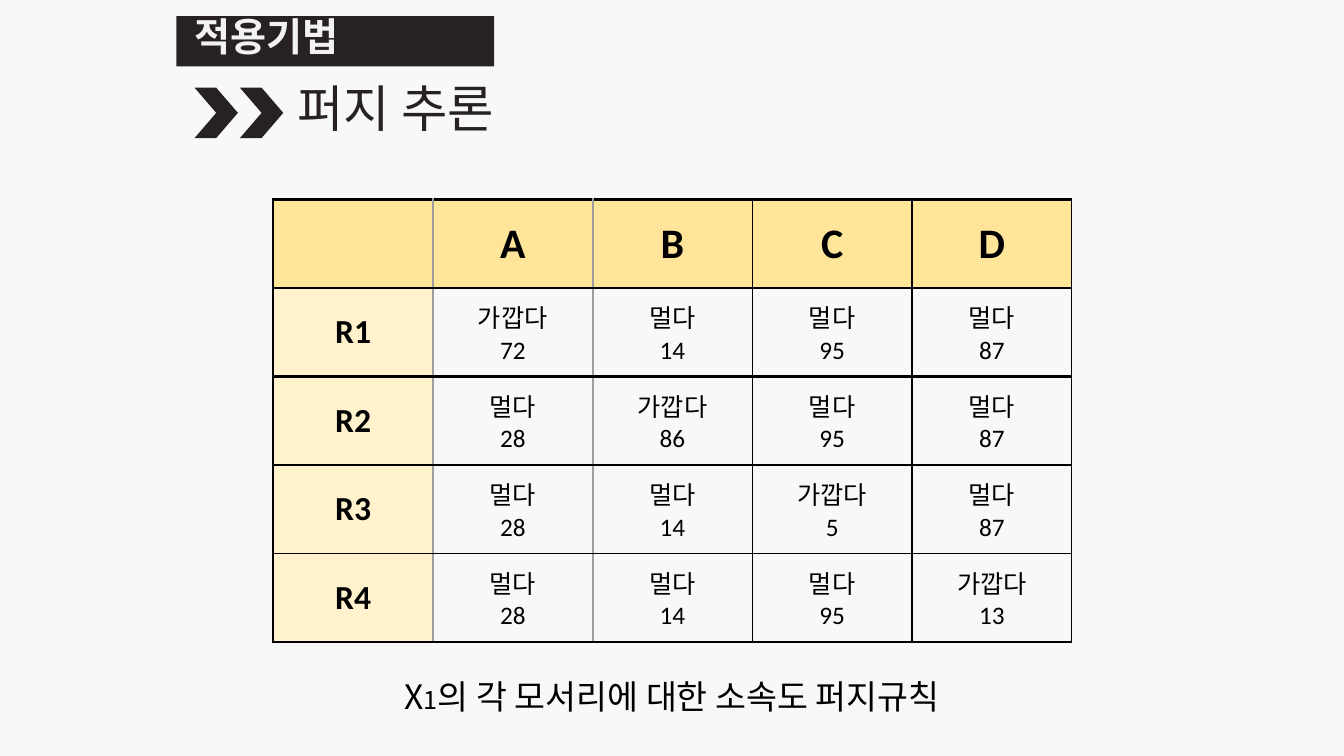
from lxml import etree
from pptx import Presentation
from pptx.dml.color import RGBColor
from pptx.enum import shapes, text
from pptx.oxml import ns
from pptx.util import Inches, Pt

INK = RGBColor(0x27, 0x21, 0x23)
PAPER = RGBColor(0xF8, 0xF8, 0xF8)
PALE = RGBColor(0xF2, 0xF2, 0xF2)
BLACK = RGBColor(0, 0, 0)
GRAY = RGBColor(0x9E, 0x9E, 0x9E)
HEADER_FILL = RGBColor(0xFF, 0xE5, 0x99)
RULE_FILL = RGBColor(0xFF, 0xF2, 0xCC)
LATIN = "Calibri"
KOREAN = "Noto Sans CJK KR"

CORNERS = ["A", "B", "C", "D"]
NEAR = [72, 86, 5, 13]
FAR = [28, 14, 95, 87]
ROW_LINES = [(BLACK, 2.25), (BLACK, 2.25), (BLACK, 2.25),
             (BLACK, 1.5), (BLACK, 1), (BLACK, 1.5)]
COLUMN_LINES = [(BLACK, 1.5), (GRAY, 2.25), (GRAY, 1.5),
                (BLACK, 1), (BLACK, 1), (BLACK, 1)]


def add_run(paragraph, words, size, color, font=LATIN, bold=False):
    run = paragraph.add_run()
    run.text = words
    run.font.size = Pt(size)
    run.font.bold = bold
    run.font.name = font
    run.font.color.rgb = color
    east_asian = etree.SubElement(run.font._element, ns.qn("a:ea"))
    east_asian.set("typeface", KOREAN)


def place(box, left, top, width, height):
    box.left, box.top = Inches(left), Inches(top)
    box.width, box.height = Inches(width), Inches(height)


def format_line(box, align, inset=0.05):
    frame = box.text_frame
    frame.word_wrap = True
    frame.auto_size = text.MSO_AUTO_SIZE.NONE
    frame.vertical_anchor = text.MSO_ANCHOR.TOP
    frame.margin_left = frame.margin_right = Inches(0.1)
    frame.margin_top = frame.margin_bottom = Inches(inset)
    line = frame.paragraphs[0]
    line.alignment = align
    line.line_spacing = 0.9
    return line


def add_block(slide, preset, left, top, width, height):
    block = slide.shapes.add_shape(preset, Inches(left), Inches(top),
                                   Inches(width), Inches(height))
    block.shadow.inherit = False
    block.fill.solid()
    block.fill.fore_color.rgb = INK
    block.line.fill.background()


def add_text(slide, left, top, width, height, align, inset=0.05):
    box = slide.shapes.add_textbox(Inches(left), Inches(top),
                                   Inches(width), Inches(height))
    return format_line(box, align, inset)


def set_borders(cell, row, column):
    properties = cell._tc.get_or_add_tcPr()
    sides = [("L", COLUMN_LINES[column]), ("R", COLUMN_LINES[column + 1]),
             ("T", ROW_LINES[row]), ("B", ROW_LINES[row + 1])]
    for index, (side, (color, points)) in enumerate(sides):
        border = etree.Element(ns.qn(f"a:ln{side}"), w=str(Pt(points)))
        fill = etree.SubElement(border, ns.qn("a:solidFill"))
        etree.SubElement(fill, ns.qn("a:srgbClr"), val=str(color))
        properties.insert(index, border)


def fill_cell(cell, lines, size, bold, color):
    cell.vertical_anchor = text.MSO_ANCHOR.MIDDLE
    cell.margin_left = cell.margin_right = Inches(0.1)
    cell.margin_top = cell.margin_bottom = Inches(0.1)
    if color is None:
        cell.fill.background()
    else:
        cell.fill.solid()
        cell.fill.fore_color.rgb = color
    frame = cell.text_frame
    for index, words in enumerate(lines):
        paragraph = frame.add_paragraph() if index else frame.paragraphs[0]
        paragraph.alignment = text.PP_ALIGN.CENTER
        add_run(paragraph, words, size, BLACK, bold=bold)


def add_rule_table(slide):
    count = len(CORNERS) + 1
    rules = slide.shapes.add_table(count, count, Inches(2.71), Inches(1.98),
                                   Inches(7.92), Inches(4.39)).table
    for line in range(count):
        rules.columns[line].width = Inches(7.92 / count)
        rules.rows[line].height = Inches(4.39 / count)
    for row in range(count):
        for column in range(count):
            cell = rules.cell(row, column)
            if row == 0:
                heading = [CORNERS[column - 1]] if column else []
                fill_cell(cell, heading, 30, True, HEADER_FILL)
            elif column == 0:
                fill_cell(cell, [f"R{row}"], 24, True, RULE_FILL)
            else:
                near = row == column
                degree = (NEAR if near else FAR)[column - 1]
                fill_cell(cell, ["가깝다" if near else "멀다", str(degree)],
                          18, False, None)
            set_borders(cell, row, column)


def main():
    deck = Presentation()
    deck.slide_width, deck.slide_height = Inches(13.33), Inches(7.5)
    slide = deck.slides.add_slide(deck.slide_layouts[5])
    slide.background.fill.solid()
    slide.background.fill.fore_color.rgb = PAPER

    add_block(slide, shapes.MSO_SHAPE.RECTANGLE, 1.75, 0.16, 3.15, 0.5)
    title = slide.shapes.title
    slide.shapes._spTree.append(title._element)
    place(title, 1.83, 0.12, 2.99, 0.57)
    add_run(format_line(title, text.PP_ALIGN.LEFT), "적용기법", 28, PALE, bold=True)

    topic = add_text(slide, 2.85, 0.78, 4.32, 0.34, text.PP_ALIGN.LEFT)
    add_run(topic, "퍼지 추론", 36, INK, KOREAN)
    for left in (2.38, 1.93):
        add_block(slide, shapes.MSO_SHAPE.CHEVRON, left, 0.87, 0.43, 0.5)

    add_rule_table(slide)

    caption = add_text(slide, 3.34, 6.65, 6.65, 0.57, text.PP_ALIGN.CENTER, 0.1)
    for words, size in (("X", 24), ("1", 18), ("의 각 모서리에 대한 소속도 퍼지규칙", 24)):
        add_run(caption, words, size, BLACK, KOREAN)

    deck.save("out.pptx")


if __name__ == "__main__":
    main()
